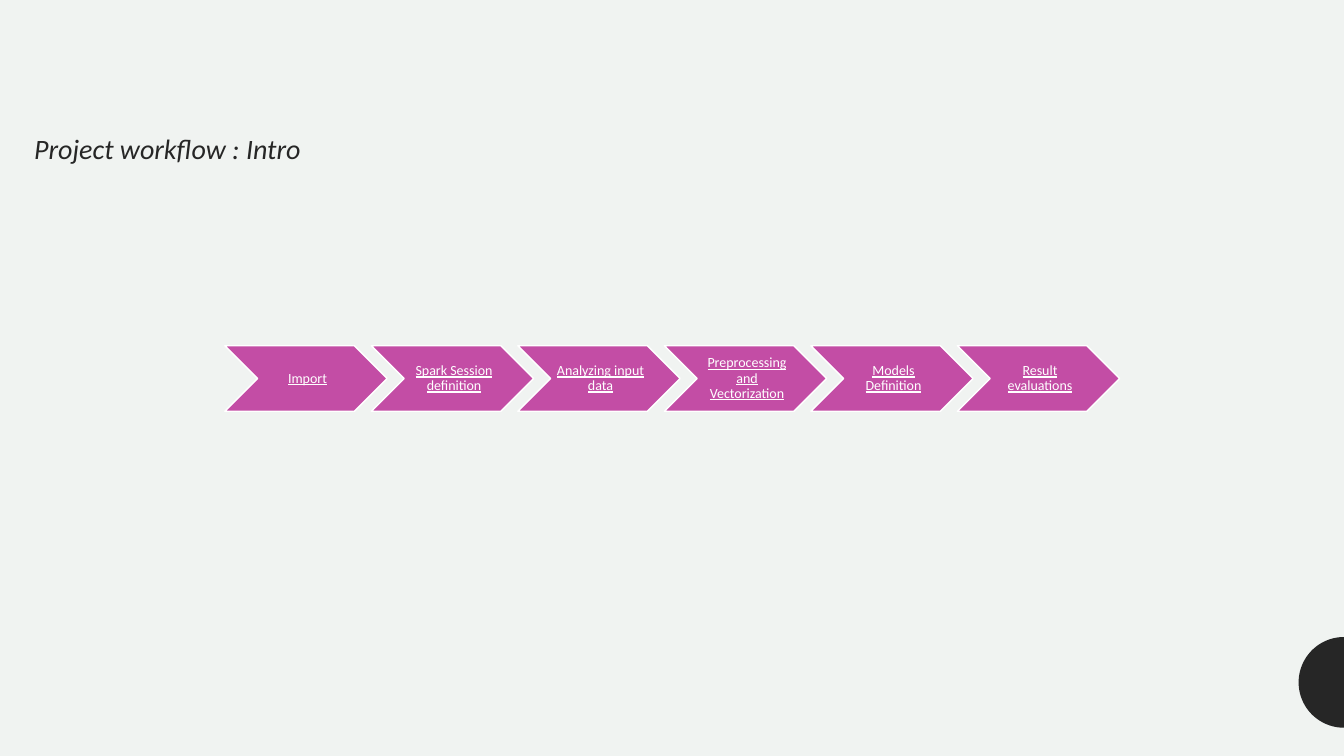
"""Build the project workflow slide with its chain of chevron steps."""
from dataclasses import dataclass
from math import cos, pi, sin

from pptx import Presentation
from pptx.dml.color import RGBColor
from pptx.enum.shapes import MSO_SHAPE
from pptx.enum.text import MSO_ANCHOR, PP_ALIGN
from pptx.slide import Slide
from pptx.util import Inches, Pt

COLORS = {"background": "F0F3F1", "dark": "262626", "step": "C34DA5", "white": "FFFFFF"}
FONT = "Calibri"
SLIDE_W, SLIDE_H = 13.33, 7.5
STEP_LEFT, STEP_TOP, STEP_PITCH = 2.23, 3.43, 1.453
STEP_W, STEP_H = 1.61, 0.65


@dataclass
class Step:
    label: str
    left: float


LABELS = [
    "Import",
    "Spark Session definition",
    "Analyzing input data",
    "Preprocessing and Vectorization",
    "Models Definition",
    "Result evaluations",
]
STEPS = [Step(label, STEP_LEFT + i * STEP_PITCH) for i, label in enumerate(LABELS)]


def rgb(name: str) -> RGBColor:
    return RGBColor.from_string(COLORS[name])


def add_half_circle(s: Slide, cx: float, cy: float, radius: float) -> None:
    count = 48
    angles = [pi / 2 + pi * i / count for i in range(count + 1)]
    points = [(Inches(cx + radius * cos(a)), Inches(cy + radius * sin(a))) for a in angles]
    builder = s.shapes.build_freeform(*points[0])
    builder.add_line_segments(points[1:], close=True)
    sp = builder.convert_to_shape()
    sp.shadow.inherit = False
    sp.fill.solid()
    sp.fill.fore_color.rgb = rgb("dark")
    sp.line.fill.background()


def add_title(s: Slide, text: str) -> None:
    sp = s.shapes.add_textbox(Inches(0.24), Inches(1), Inches(11.67), Inches(0.9))
    tf = sp.text_frame
    tf.word_wrap = True
    tf.vertical_anchor = MSO_ANCHOR.MIDDLE
    tf.text = text
    p = tf.paragraphs[0]
    p.line_spacing = 1.1
    p.space_after = Pt(4)
    r = p.runs[0]
    r.font.name = FONT
    r.font.size = Pt(20)
    r.font.italic = True
    r.font.color.rgb = rgb("dark")


def add_step(s: Slide, step: Step) -> None:
    sp = s.shapes.add_shape(
        MSO_SHAPE.CHEVRON, Inches(step.left), Inches(STEP_TOP), Inches(STEP_W), Inches(STEP_H)
    )
    sp.shadow.inherit = False
    sp.fill.solid()
    sp.fill.fore_color.rgb = rgb("step")
    sp.line.color.rgb = rgb("white")
    sp.line.width = Pt(1)
    tf = sp.text_frame
    tf.word_wrap = True
    tf.vertical_anchor = MSO_ANCHOR.MIDDLE
    tf.margin_left = Inches(0.04)
    tf.margin_top = tf.margin_right = tf.margin_bottom = Inches(0.01)
    tf.text = step.label
    p = tf.paragraphs[0]
    p.alignment = PP_ALIGN.CENTER
    p.line_spacing = 0.9
    r = p.runs[0]
    r.font.name = FONT
    r.font.size = Pt(10)
    r.font.underline = True
    r.font.color.rgb = rgb("white")


def main() -> None:
    prs = Presentation()
    prs.slide_width, prs.slide_height = Inches(SLIDE_W), Inches(SLIDE_H)
    s = prs.slides.add_slide(prs.slide_layouts[6])
    s.background.fill.solid()
    s.background.fill.fore_color.rgb = rgb("background")
    add_half_circle(s, SLIDE_W, 6.77, 0.45)
    add_title(s, "Project workflow : Intro")
    for step in STEPS:
        add_step(s, step)
    prs.save("out.pptx")


if __name__ == "__main__":
    main()
